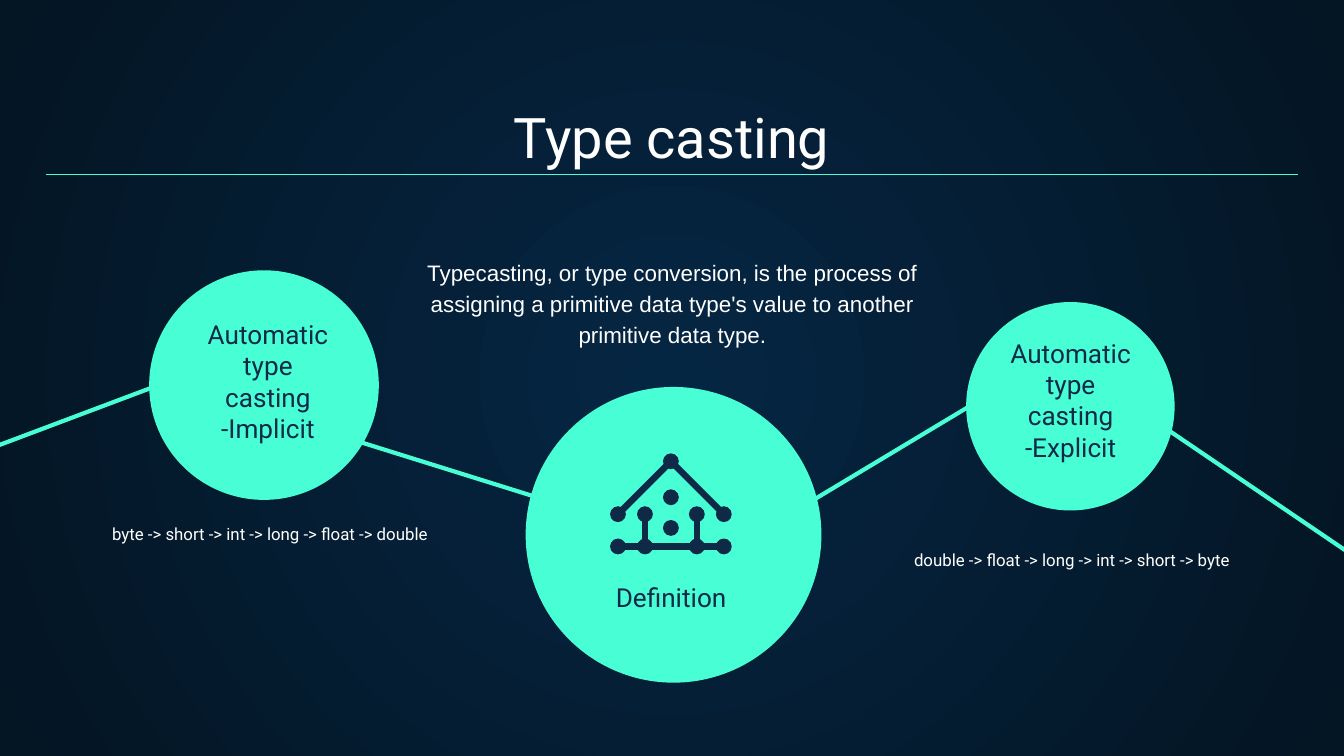
import pptx
import pptx.dml.color
import pptx.enum.shapes
import pptx.enum.text
import pptx.oxml
import pptx.util
from pptx.util import Cm

MINT, NAVY, WHITE = "48FFD5", "0E2A47", "FFFFFF"
GLOW, EDGE = "052643", "041523"

# Centre x, centre y, diameter in cm
CIRCLES = [(4.99, 7.28, 4.34), (12.73, 10.11, 5.59), (20.23, 7.68, 3.94)]

# Start and end points in cm
LINKS = [
    ((6.5, 8.26), (10.95, 9.65)),
    ((13.94, 10.31), (18.92, 7.32)),
    ((3.58, 7.06), (-1.68, 9.04)),
    ((26.04, 10.82), (21.21, 7.54)),
]
TITLE_RULE = ((0.86, 3.3), (24.54, 3.3))

# House icon: offsets in cm from its roof top
ICON_TOP = (12.68, 8.72)
DOT = 0.3
ROOF, FLOOR = 1.0, 1.61
DOOR = 0.49
ICON_DOTS = [(0, 0), (0, 0.68), (0, 1.26)] + [
    (x, y) for y in (ROOF, FLOOR) for x in (-ROOF, -DOOR, DOOR, ROOF)
    if (abs(x), y) != (ROOF, FLOOR)
] + [(-ROOF, FLOOR), (ROOF, FLOOR)]
ICON_BARS = [
    ((0, 0), (-ROOF, ROOF)),
    ((0, 0), (ROOF, ROOF)),
    ((-DOOR, ROOF), (-DOOR, FLOOR)),
    ((DOOR, ROOF), (DOOR, FLOOR)),
    ((-ROOF, FLOOR), (ROOF, FLOOR)),
]

TITLE = ("Type casting", (0.86, 1.78, 23.67, 1.68))
LABELS = [
    ("Automatic type casting -Implicit", (3.58, 5.77, 2.97, 3.1)),
    ("Automatic type casting -Explicit", (18.75, 6.12, 2.97, 3.1)),
    ("Definition", (11.2, 10.74, 2.97, 1.17)),
]
CHAINS = [
    ("byte -> short -> int -> long -> float -> double", (1.67, 9.63, 6.86, 0.91)),
    ("double -> float -> long -> int -> short -> byte", (16.7, 10.11, 7.11, 1.09)),
]
MEANING = (
    "Typecasting, or type conversion, is the process of assigning a primitive "
    "data type's value to another primitive data type.",
    (7.49, 4.57, 10.44, 1.6),
)


def colour(value):
    return pptx.dml.color.RGBColor.from_string(value)


def add_circle(shapes, x, y, size, fill):
    """Add a filled circle centred on x, y."""
    circle = shapes.add_shape(
        pptx.enum.shapes.MSO_SHAPE.OVAL,
        Cm(x - size / 2), Cm(y - size / 2), Cm(size), Cm(size),
    )
    circle.shadow.inherit = False
    circle.fill.solid()
    circle.fill.fore_color.rgb = colour(fill)
    circle.line.fill.background()


def add_line(shapes, start, end, stroke, width):
    line = shapes.add_connector(
        pptx.enum.shapes.MSO_CONNECTOR.STRAIGHT, *map(Cm, start + end)
    )
    line.line.color.rgb = colour(stroke)
    line.line.width = pptx.util.Pt(width)
    line._element.spPr.append(pptx.oxml.parse_xml(
        '<a:effectLst xmlns:a="http://schemas.openxmlformats.org/drawingml/2006/main"/>'
    ))


def add_text(shapes, words, place, size, ink, font="Roboto", spacing=None):
    """Add a centred text box and return its frame."""
    frame = shapes.add_textbox(*map(Cm, place)).text_frame
    frame.word_wrap = True
    frame.margin_left = frame.margin_right = Cm(0.25)
    frame.margin_top = frame.margin_bottom = Cm(0.25)
    frame.text = words
    paragraph = frame.paragraphs[0]
    paragraph.alignment = pptx.enum.text.PP_ALIGN.CENTER
    paragraph.line_spacing = spacing
    span = paragraph.runs[0]
    span.font.name = font
    span.font.size = pptx.util.Pt(size)
    span.font.color.rgb = colour(ink)
    return frame


def paint_background(page):
    """Fill the page with a glow that darkens from the centre outwards."""
    fill = page.background.fill
    fill.gradient()
    for stop, value in zip(fill.gradient_stops, (GLOW, EDGE)):
        stop.color.rgb = colour(value)
    linear = page._element.find(".//" + pptx.oxml.ns.qn("a:lin"))
    linear.getparent().replace(linear, pptx.oxml.parse_xml(
        '<a:path xmlns:a="http://schemas.openxmlformats.org/drawingml/2006/main" '
        'path="circle"><a:fillToRect l="50000" t="50000" r="50000" b="50000"/></a:path>'
    ))


def add_icon(shapes):
    icon = shapes.add_group_shape().shapes
    left, top = ICON_TOP
    for (x1, y1), (x2, y2) in ICON_BARS:
        add_line(icon, (left + x1, top + y1), (left + x2, top + y2), NAVY, 3.5)
    for x, y in ICON_DOTS:
        add_circle(icon, left + x, top + y, DOT, NAVY)


def main():
    deck = pptx.Presentation()
    deck.slide_width, deck.slide_height = Cm(25.4), Cm(14.29)
    page = deck.slides.add_slide(deck.slide_layouts[6])
    shapes = page.shapes
    paint_background(page)

    title = add_text(shapes, *TITLE, 30, WHITE)
    title.vertical_anchor = pptx.enum.text.MSO_ANCHOR.BOTTOM
    add_line(shapes, *TITLE_RULE, MINT, 0.75)

    for x, y, size in CIRCLES:
        add_circle(shapes, x, y, size, MINT)
    for start, end in LINKS:
        add_line(shapes, start, end, MINT, 2.25)
    add_icon(shapes)

    for words, place in LABELS:
        add_text(shapes, words, place, 14, NAVY)
    for words, place in CHAINS:
        add_text(shapes, words, place, 9, WHITE, spacing=1.15)
    add_text(shapes, *MEANING, 12, WHITE, font="Arial", spacing=1.15)

    deck.save("out.pptx")


if __name__ == "__main__":
    main()
